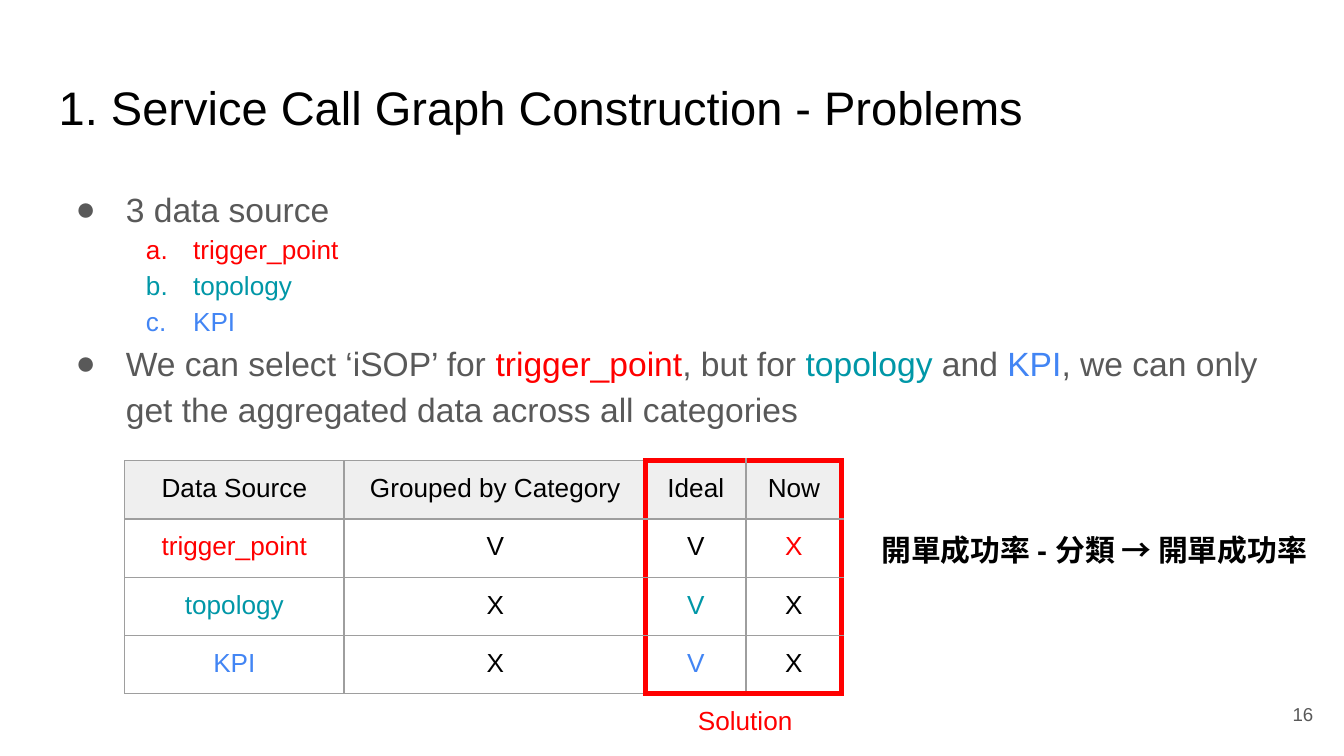
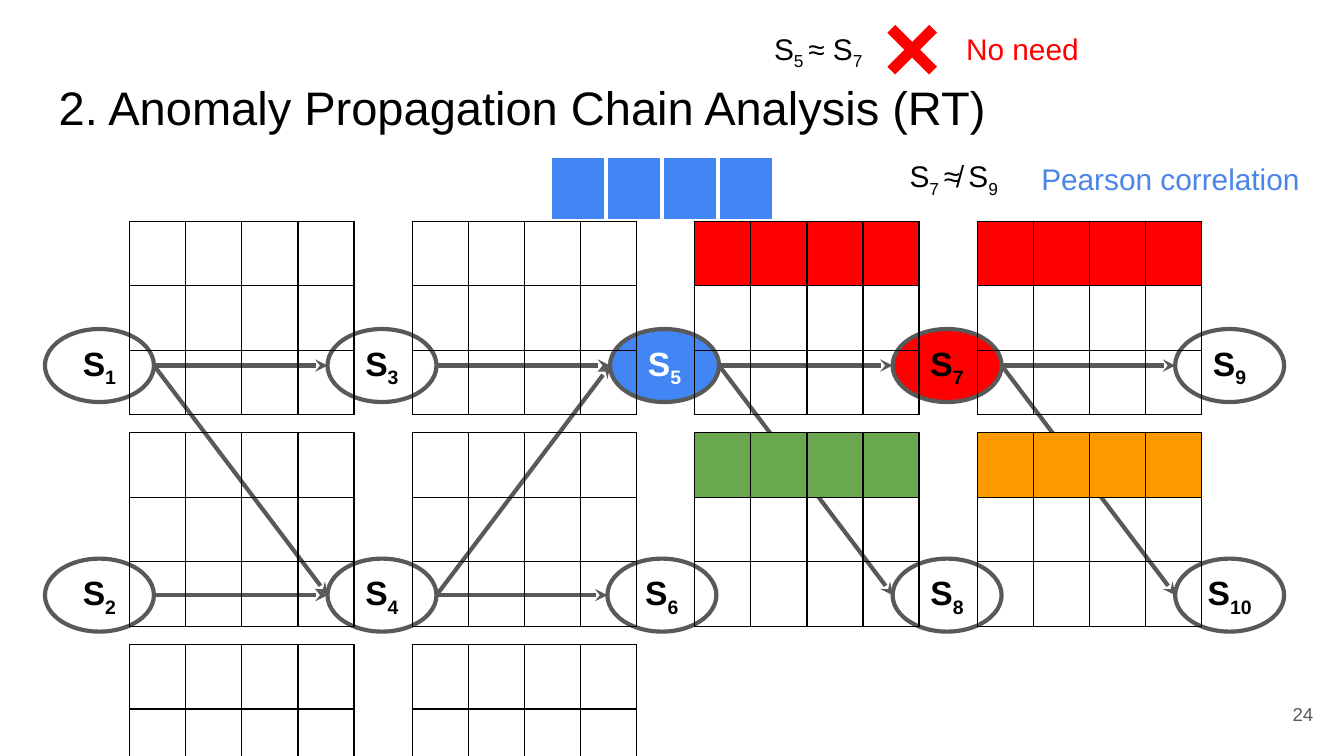
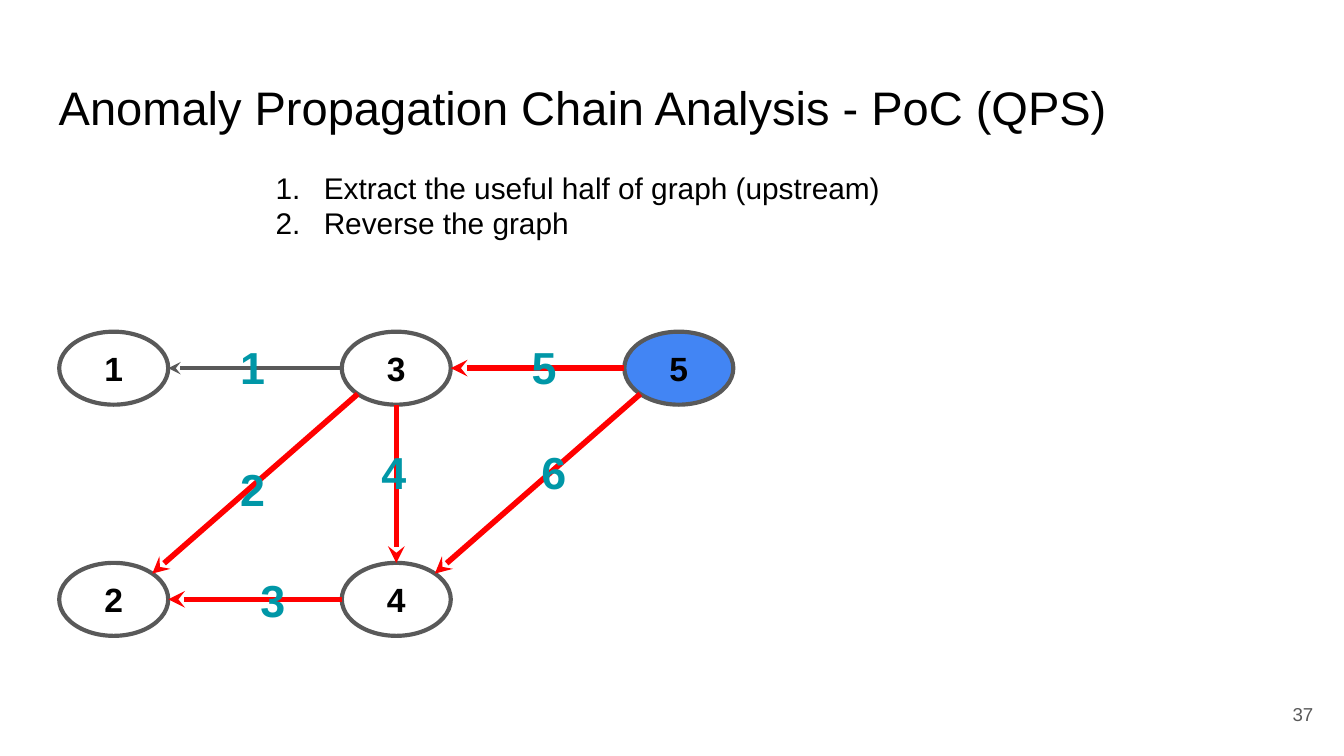
from math import cos, radians, sin

from lxml.etree import SubElement
from pptx import Presentation
from pptx.dml.color import RGBColor
from pptx.enum.shapes import MSO_CONNECTOR, MSO_SHAPE
from pptx.enum.text import MSO_ANCHOR as Anchor, MSO_AUTO_SIZE, PP_ALIGN as Align
from pptx.oxml.ns import qn
from pptx.util import Cm, Pt

FONT = "Arial"
BLACK = RGBColor(0x00, 0x00, 0x00)
WHITE = RGBColor(0xFF, 0xFF, 0xFF)
DARK = RGBColor(0x59, 0x59, 0x59)
GREY = RGBColor(0x9E, 0x9E, 0x9E)
PALE = RGBColor(0xEF, 0xEF, 0xEF)
RED = RGBColor(0xFF, 0x00, 0x00)
TEAL = RGBColor(0x00, 0x97, 0xA7)
BLUE = RGBColor(0x42, 0x85, 0xF4)
SKY = RGBColor(0x4A, 0x86, 0xE8)
GREEN = RGBColor(0x6A, 0xA8, 0x4F)
ORANGE = RGBColor(0xFF, 0x99, 0x00)

MARGIN = 0.25
NODE_WIDTH, NODE_HEIGHT = 2.06, 1.38
COLUMN_PITCH = 5.34
RIGHT, BOTTOM, LEFT = 0, 90, 180
BOTTOM_LEFT, TOP_RIGHT = 135, 315


def add_bullet(para, tag, value, color, indent, hanging, level=0):
    """Give a paragraph a coloured bullet character or automatic number."""
    para.level = level
    props = para._p.get_or_add_pPr()
    props.set("marL", str(Cm(indent)))
    props.set("indent", str(-Cm(hanging)))
    tint = SubElement(props, qn("a:buClr"))
    SubElement(tint, qn("a:srgbClr"), val=str(color))
    SubElement(props, qn("a:buFont"), typeface=FONT)
    key = "char" if tag == "buChar" else "type"
    SubElement(props, qn("a:" + tag), {key: value})


def write(frame, text, *, size=14, color=BLACK, bold=False, align=Align.LEFT,
          spacing=None, bullet=None, append=False):
    """Write one paragraph from a string or a list of (text, colour, baseline) spans."""
    para = frame.add_paragraph() if append else frame.paragraphs[0]
    para.alignment = align
    if spacing:
        para.line_spacing = spacing
    if bullet:
        add_bullet(para, color=color, **bullet)
    spans = [(text, color, 0)] if isinstance(text, str) else text
    for words, tint, baseline in spans:
        span = para.add_run()
        span.text = words
        span.font.name, span.font.size, span.font.bold = FONT, Pt(size), bold
        span.font.color.rgb = tint
        if baseline:
            span._r.get_or_add_rPr().set("baseline", str(baseline * 1000))


def place(shape, box):
    """Move a shape to a box of left, top, width and height in centimetres."""
    shape.left, shape.top, shape.width, shape.height = map(Cm, box)


def prepare(shape, anchor=Anchor.TOP):
    """Set equal margins, wrapping and anchoring, and return the text frame."""
    frame = shape.text_frame
    frame.margin_left = frame.margin_right = Cm(MARGIN)
    frame.margin_top = frame.margin_bottom = Cm(MARGIN)
    frame.auto_size = MSO_AUTO_SIZE.NONE
    frame.word_wrap = True
    frame.vertical_anchor = anchor
    return frame


def add_text(page, box, text, anchor=Anchor.TOP, **style):
    """Add a text box with one paragraph and return its frame."""
    frame = prepare(page.shapes.add_textbox(*map(Cm, box)), anchor)
    write(frame, text, **style)
    return frame


def add_page(deck, title, number):
    """Add a titled page with its page number."""
    page = deck.slides.add_slide(deck.slide_layouts[5])
    place(page.shapes.title, (0.86, 1.24, 23.67, 1.6))
    write(prepare(page.shapes.title), title, size=25.2)
    add_text(page, (23.55, 12.95, 1.52, 1.09), number, Anchor.MIDDLE,
             size=10, color=DARK, align=Align.RIGHT)
    return page


def add_border(cell, order, side, color, width):
    """Draw one side of a table cell."""
    props = cell._tc.get_or_add_tcPr()
    line = SubElement(props, qn("a:ln" + side), w=str(Pt(width)))
    props.insert(order, line)
    fill = SubElement(line, qn("a:solidFill"))
    SubElement(fill, qn("a:srgbClr"), val=str(color))


def add_grid(page, corner, widths, height, count, head=None, line=(BLACK, 0.75),
             frame=None):
    """Add a table with a filled top row, inner lines and an optional heavier frame."""
    frame = frame or line
    last_row, last_column = count - 1, len(widths) - 1
    box = (*corner, sum(widths), height * count)
    table = page.shapes.add_table(count, len(widths), *map(Cm, box)).table
    table.first_row = table.horz_banding = False
    for column, width in zip(table.columns, widths):
        column.width = Cm(width)
    for r in range(count):
        table.rows[r].height = Cm(height)
        for c in range(len(widths)):
            cell = table.cell(r, c)
            if head is not None and r == 0:
                cell.fill.solid()
                cell.fill.fore_color.rgb = head
            else:
                cell.fill.background()
            outer = {"L": c == 0, "R": c == last_column, "T": r == 0, "B": r == last_row}
            for order, (side, on_edge) in enumerate(outer.items()):
                add_border(cell, order, side, *(frame if on_edge else line))
    return table


def fill_table(table, rows):
    """Write centred (text, colour) entries into a table."""
    for r, row in enumerate(rows):
        for c, (text, color) in enumerate(row):
            cell = table.cell(r, c)
            cell.margin_left = cell.margin_right = Cm(MARGIN)
            cell.margin_top = cell.margin_bottom = Cm(MARGIN)
            write(cell.text_frame, text, color=color, align=Align.CENTER)


def add_node(page, left, top, text, fill=None, color=BLACK):
    """Add an elliptical graph node."""
    box = (left, top, NODE_WIDTH, NODE_HEIGHT)
    node = page.shapes.add_shape(MSO_SHAPE.OVAL, *map(Cm, box))
    node.shadow.inherit = False
    if fill is None:
        node.fill.background()
    else:
        node.fill.solid()
        node.fill.fore_color.rgb = fill
    node.line.color.rgb, node.line.width = DARK, Pt(2.25)
    write(prepare(node, Anchor.MIDDLE), text, size=18, color=color, bold=True,
          align=Align.CENTER)
    return node


def rim(node, angle):
    """Return the point on a node's outline at a clockwise angle from the right."""
    x = node.left + node.width / 2 * (1 + cos(radians(angle)))
    y = node.top + node.height / 2 * (1 + sin(radians(angle)))
    return int(x), int(y)


def add_arrow(page, start, end, color=DARK, width=2.25):
    """Add a straight arrow between two points."""
    arrow = page.shapes.add_connector(MSO_CONNECTOR.STRAIGHT, *start, *end)
    arrow.line.color.rgb, arrow.line.width = color, Pt(width)
    SubElement(arrow.line._get_or_add_ln(), qn("a:tailEnd"), type="stealth")
    SubElement(arrow._element.spPr, qn("a:effectLst"))


def draw_sources(page, box):
    """Write the list of data sources and their limits."""
    dot = dict(tag="buChar", value="●", indent=1.27, hanging=0.95)
    letter = dict(tag="buAutoNum", value="alphaLcPeriod", indent=2.54, hanging=0.89,
                  level=1)
    frame = add_text(page, box, "3 data source", size=18, color=DARK, spacing=1.15,
                     bullet=dot)
    for name, color in (("trigger_point", RED), ("topology", TEAL), ("KPI", BLUE)):
        write(frame, name, color=color, spacing=1.15, bullet=letter, append=True)
    limits = [("We can select ‘iSOP’ for ", DARK, 0), ("trigger_point", RED, 0),
              (", but for ", DARK, 0), ("topology", TEAL, 0), (" and ", DARK, 0),
              ("KPI", BLUE, 0),
              (", we can only get the aggregated data across all categories", DARK, 0)]
    write(frame, limits, size=18, color=DARK, spacing=1.15, bullet=dot, append=True)


def draw_comparison(page, left, top):
    """Draw the source table, the framed solution table and their captions."""
    row_height, solution_left = 1.1, left + 9.84
    sources = add_grid(page, (left, top), (4.14, 5.72), row_height, 4, PALE, (GREY, 0.75))
    fill_table(sources, [[("Data Source", BLACK), ("Grouped by Category", BLACK)],
                         [("trigger_point", RED), ("V", BLACK)],
                         [("topology", TEAL), ("X", BLACK)],
                         [("KPI", BLUE), ("X", BLACK)]])
    add_text(page, (left + 10.44, top + 4.35, 2.57, 1.12), "Solution", color=RED,
             align=Align.CENTER)
    solution = add_grid(page, (solution_left, top), (1.9, 1.81), row_height, 4, PALE,
                        (GREY, 0.75), frame=(RED, 3))
    fill_table(solution, [[("Ideal", BLACK), ("Now", BLACK)],
                          [("V", BLACK), ("X", RED)],
                          [("V", TEAL), ("X", BLACK)],
                          [("V", BLUE), ("X", BLACK)]])
    add_text(page, (left + 14.05, top + 1.09, 8.79, 1.19), "開單成功率 - 分類 → 開單成功率",
             size=16, bold=True)


def draw_services(page, left, top):
    """Draw the ten service nodes and the calls between them."""
    looks = {5: (BLUE, WHITE), 7: (RED, BLACK)}
    shifts = {6: -0.05}
    nodes = {}
    for number in range(1, 11):
        column, row = divmod(number - 1, 2)
        fill, color = looks.get(number, (None, BLACK))
        name = [("S", color, 0), (str(number), color, -25)]
        x = left + column * COLUMN_PITCH + shifts.get(number, 0)
        nodes[number] = add_node(page, x, top + row * 4.34, name, fill, color)
    calls = ((1, 3), (3, 5), (5, 7), (7, 9), (2, 4), (4, 6), (1, 4), (5, 8), (7, 10), (4, 5))
    for caller, callee in calls:
        add_arrow(page, rim(nodes[caller], RIGHT), rim(nodes[callee], LEFT))


def draw_metric_grids(page, left, top):
    """Draw the metric grids between the services and the strip above them."""
    widths, height = [1.06] * 4, 1.22
    add_grid(page, (left + 7.94, top - 1.23), widths, height, 1, BLUE, (WHITE, 2.25))
    heads = {(2, 0): RED, (2, 1): GREEN, (3, 0): RED, (3, 1): ORANGE}
    for column, count in enumerate((3, 3, 2, 2)):
        for row in range(count):
            corner = (left + column * COLUMN_PITCH, top + row * 4)
            add_grid(page, corner, widths, height, 3, heads.get((column, row)))


def draw_similarity(page, box, first, sign, second):
    """Write a relation between two services."""
    relation = [("S", BLACK, 0), (first + " ", BLACK, -25),
                (sign + " S", BLACK, 0), (second, BLACK, -25)]
    add_text(page, box, relation, size=16)


def draw_verdicts(page, left, top):
    """Draw the two service relations with their verdicts."""
    draw_similarity(page, (left, top, 2.79, 1.19), "5", "≈", "7")
    box = (left + 2.1, top - 0.15, 1.52, 1.52)
    cross = page.shapes.add_shape(MSO_SHAPE.MATH_MULTIPLY, *map(Cm, box))
    cross.adjustments[0] = 0.137
    cross.shadow.inherit = False
    cross.fill.solid()
    cross.fill.fore_color.rgb = RED
    cross.line.fill.background()
    add_text(page, (left + 3.63, top, 2.79, 1.19), "No need", size=16, color=RED)
    draw_similarity(page, (left + 2.56, top + 2.41, 2.79, 1.19), "7", "≉", "9")
    add_text(page, (left + 5.05, top + 2.46, 5.82, 1.19), "Pearson correlation",
             size=16, color=SKY)


def draw_steps(page, box):
    """Write the numbered steps."""
    number = dict(tag="buAutoNum", value="arabicPeriod", indent=1.27, hanging=0.91)
    frame = add_text(page, box, "Extract the useful half of graph (upstream)", size=16,
                     bullet=number)
    write(frame, "Reverse the graph", size=16, bullet=number, append=True)


def draw_reversed_graph(page, left, top):
    """Draw the reversed graph with its numbered edges."""
    nodes = {}
    for number in range(1, 6):
        column, row = divmod(number - 1, 2)
        nodes[number] = add_node(page, left + column * COLUMN_PITCH, top + row * 4.37,
                                 str(number), BLUE if number == 5 else None)
    edges = ((3, LEFT, 1, RIGHT, 3.17, -0.1),
             (3, BOTTOM_LEFT, 2, TOP_RIGHT, 3.17, 2.21),
             (4, LEFT, 2, RIGHT, 3.55, 4.3),
             (3, BOTTOM, 4, -90, 5.84, 1.88),
             (5, LEFT, 3, RIGHT, 8.68, -0.1),
             (5, BOTTOM_LEFT, 4, TOP_RIGHT, 8.86, 1.88))
    for order, (start, leave, end, enter, x, y) in enumerate(edges, 1):
        look = (DARK, 2.25) if order == 1 else (RED, 3)
        add_arrow(page, rim(nodes[start], leave), rim(nodes[end], enter), *look)
        add_text(page, (left + x, top + y, 0.86, 1.55), str(order), size=24, color=TEAL,
                 bold=True)


def main():
    """Build the deck and save it."""
    deck = Presentation()
    deck.slide_width, deck.slide_height = Cm(25.4), Cm(14.29)

    problems = add_page(deck, "1. Service Call Graph Construction - Problems", "16")
    draw_sources(problems, (0.86, 3.2, 23.67, 9.5))
    draw_comparison(problems, 2.36, 8.71)

    analysis = add_page(deck, "2. Anomaly Propagation Chain Analysis (RT)", "24")
    draw_services(analysis, 0.85, 6.22)
    draw_metric_grids(analysis, 2.45, 4.18)
    draw_verdicts(analysis, 14.38, 0.33)

    proof = add_page(deck, "Anomaly Propagation Chain Analysis - PoC (QPS)", "37")
    draw_reversed_graph(proof, 1.12, 6.27)
    draw_steps(proof, (4.6, 2.95, 12.9, 1.88))

    deck.save("out.pptx")


if __name__ == "__main__":
    main()
